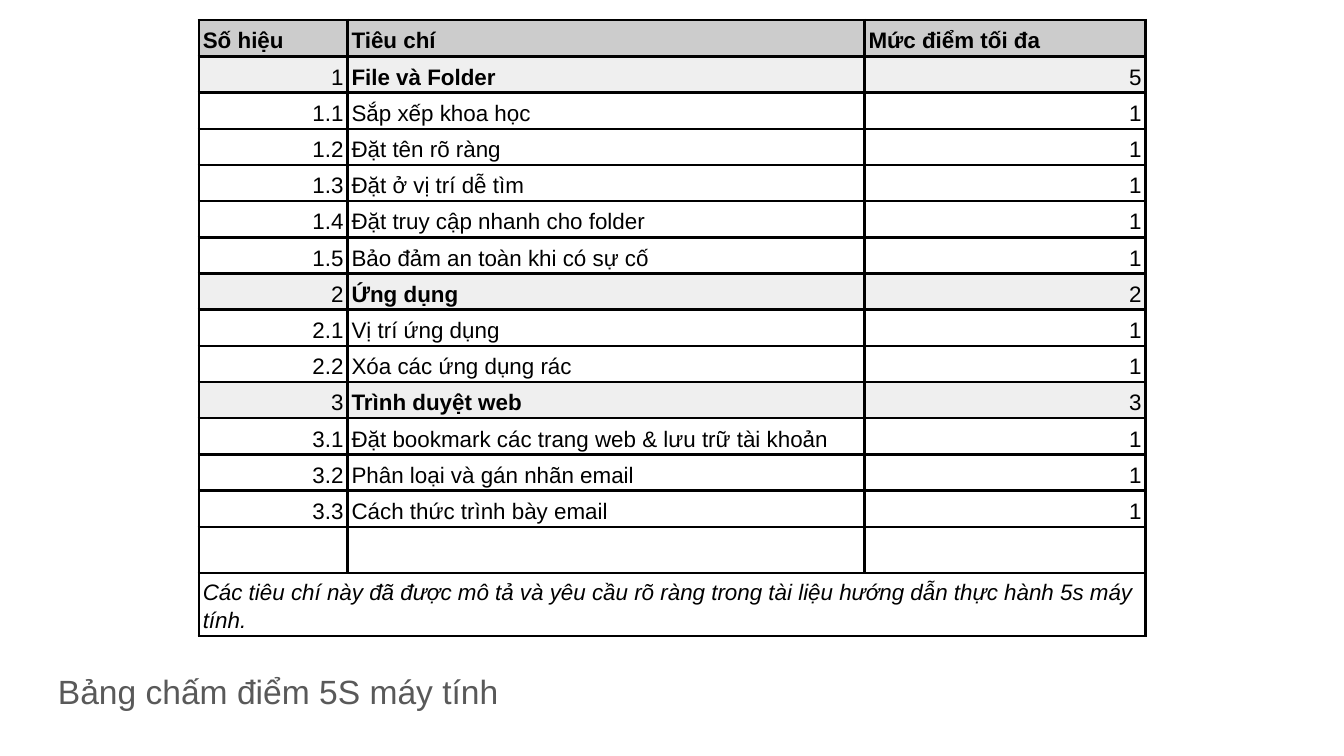
from lxml.etree import SubElement
from pptx import Presentation
from pptx.dml.color import RGBColor
from pptx.enum.text import MSO_ANCHOR, PP_ALIGN
from pptx.oxml.ns import qn
from pptx.util import Pt

HEADINGS = ("Số hiệu", "Tiêu chí", "Mức điểm tối đa")
SECTIONS = [
    ("File và Folder", ["Sắp xếp khoa học", "Đặt tên rõ ràng", "Đặt ở vị trí dễ tìm",
                        "Đặt truy cập nhanh cho folder", "Bảo đảm an toàn khi có sự cố"]),
    ("Ứng dụng", ["Vị trí ứng dụng", "Xóa các ứng dụng rác"]),
    ("Trình duyệt web", ["Đặt bookmark các trang web & lưu trữ tài khoản",
                         "Phân loại và gán nhãn email", "Cách thức trình bày email"]),
]
NOTE = ("Các tiêu chí này đã được mô tả và yêu cầu rõ ràng trong "
        "tài liệu hướng dẫn thực hành 5s máy tính.")
COLUMN_WIDTHS = (79.7, 277, 150.5)
ROW_HEIGHT, BLANK_HEIGHT, NOTE_HEIGHT = 19.4, 23, 33.5


def color(value):
    return RGBColor.from_string(value)


class SlideBuilder:
    font = "Arial"
    ink, muted = "000000", "595959"
    heading_fill, section_fill = "CCCCCC", "EFEFEF"

    def __init__(self, slide):
        self.slide = slide

    def run(self, paragraph, text, size, ink, bold=False, italic=False):
        run = paragraph.add_run()
        run.text = text
        run.font.name, run.font.size = self.font, Pt(size)
        run.font.bold, run.font.italic = bold, italic
        run.font.color.rgb = color(ink)

    def caption(self, text, left, top, width, height):
        body = self.slide.placeholders[1]
        body.left, body.top, body.width, body.height = map(Pt, (left, top, width, height))
        frame = body.text_frame
        frame.word_wrap = True
        frame.vertical_anchor = MSO_ANCHOR.MIDDLE
        frame.margin_left = frame.margin_right = Pt(7.2)
        frame.margin_top = frame.margin_bottom = Pt(7.2)
        paragraph = frame.paragraphs[0]
        paragraph.space_before = Pt(0)
        properties = paragraph._p.get_or_add_pPr()
        properties.set("marL", "0")
        properties.set("indent", "0")
        SubElement(properties, qn("a:buNone"))
        self.run(paragraph, text, 18, self.muted)

    def table(self, left, top, widths, heights):
        frame = self.slide.shapes.add_table(len(heights), len(widths), Pt(left), Pt(top),
                                            Pt(sum(widths)), Pt(sum(heights)))
        table = frame.table
        table.first_row = table.horz_banding = False
        for column, width in zip(table.columns, widths):
            column.width = Pt(width)
        for row, height in zip(table.rows, heights):
            row.height = Pt(height)
        for cell in table.iter_cells():
            self.cell_frame(cell)
        return table

    def cell_frame(self, cell):
        cell.vertical_anchor = MSO_ANCHOR.BOTTOM
        cell.margin_left = cell.margin_right = Pt(2.16)
        cell.margin_top = cell.margin_bottom = Pt(1.44)
        properties = cell._tc.get_or_add_tcPr()
        for side in ("lnL", "lnR", "lnT", "lnB"):
            border = SubElement(properties, qn(f"a:{side}"), w=str(Pt(1.5)))
            fill = SubElement(border, qn("a:solidFill"))
            SubElement(fill, qn("a:srgbClr"), val=self.ink)
        cell.fill.background()

    def cell(self, cell, text, fill=None, align=PP_ALIGN.LEFT, **style):
        if fill:
            cell.fill.solid()
            cell.fill.fore_color.rgb = color(fill)
        paragraph = cell.text_frame.paragraphs[0]
        paragraph.alignment = align
        paragraph.line_spacing = 1.15
        self.run(paragraph, text, 12, self.ink, **style)

    def score_row(self, table, row, number, criterion, points, is_section=False):
        fill = self.section_fill if is_section else None
        self.cell(table.cell(row, 0), number, fill, PP_ALIGN.RIGHT)
        self.cell(table.cell(row, 1), criterion, fill, bold=is_section)
        self.cell(table.cell(row, 2), str(points), fill, PP_ALIGN.RIGHT)


def main():
    presentation = Presentation()
    presentation.slide_width, presentation.slide_height = Pt(720), Pt(405)
    slide = presentation.slides.add_slide(presentation.slide_layouts[1])
    title = slide.shapes.title
    title.element.getparent().remove(title.element)
    builder = SlideBuilder(slide)

    # Score table: heading, sections with their criteria, blank row, note
    score_rows = 1 + sum(1 + len(criteria) for _, criteria in SECTIONS)
    heights = [ROW_HEIGHT] * score_rows + [BLANK_HEIGHT, NOTE_HEIGHT]
    scores = builder.table(106.5, 10.8, COLUMN_WIDTHS, heights)
    for column, heading in enumerate(HEADINGS):
        builder.cell(scores.cell(0, column), heading, builder.heading_fill, bold=True)

    row = 1
    for number, (section, criteria) in enumerate(SECTIONS, 1):
        builder.score_row(scores, row, str(number), section, len(criteria), True)
        for step, criterion in enumerate(criteria, 1):
            builder.score_row(scores, row + step, f"{number}.{step}", criterion, 1)
        row += 1 + len(criteria)

    note = scores.cell(score_rows + 1, 0)
    note.merge(scores.cell(score_rows + 1, 2))
    builder.cell(note, NOTE, italic=True)

    # Caption below the table
    builder.caption("Bảng chấm điểm 5S máy tính", 23.8, 346.3, 472.3, 47.5)

    presentation.save("out.pptx")


if __name__ == "__main__":
    main()
